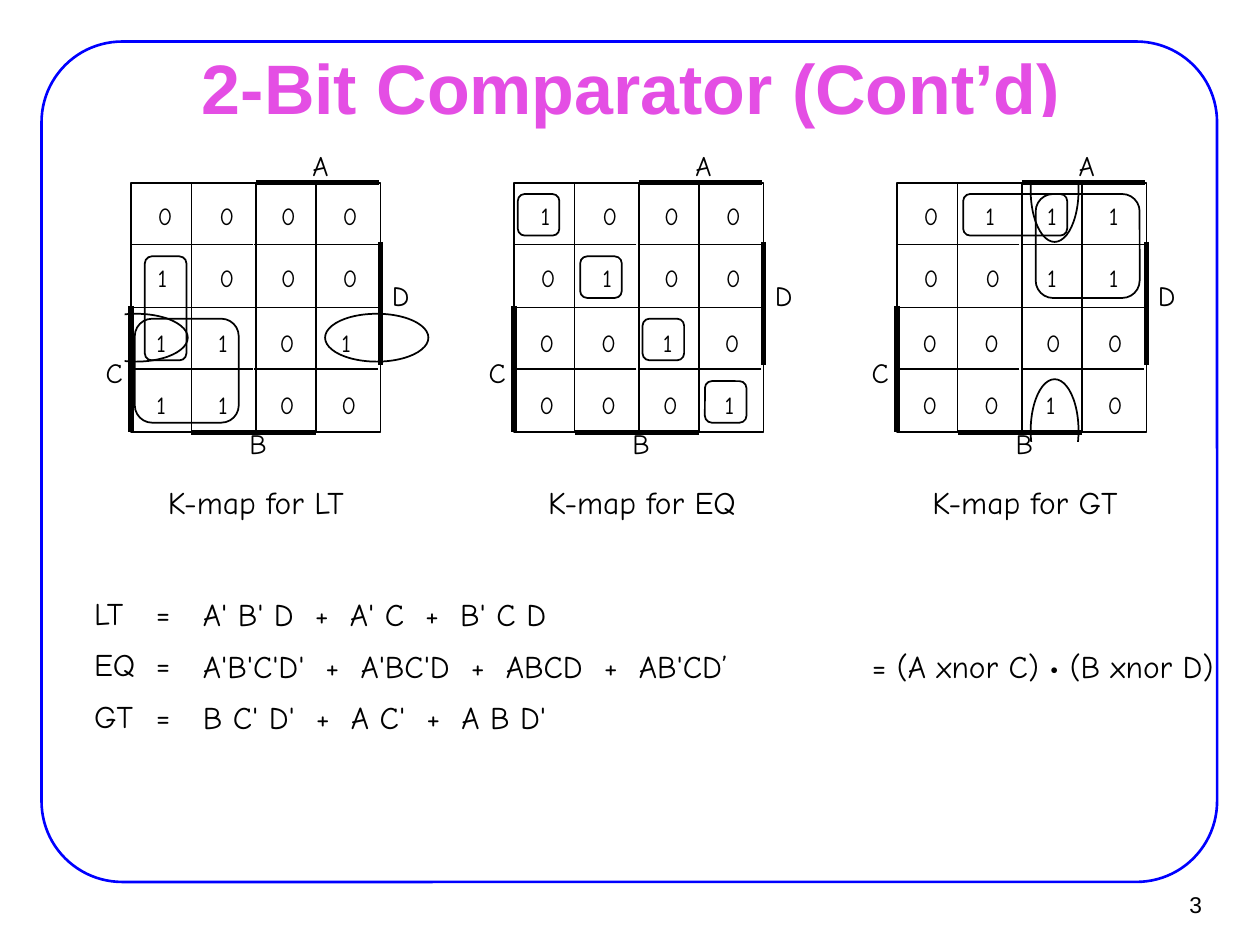
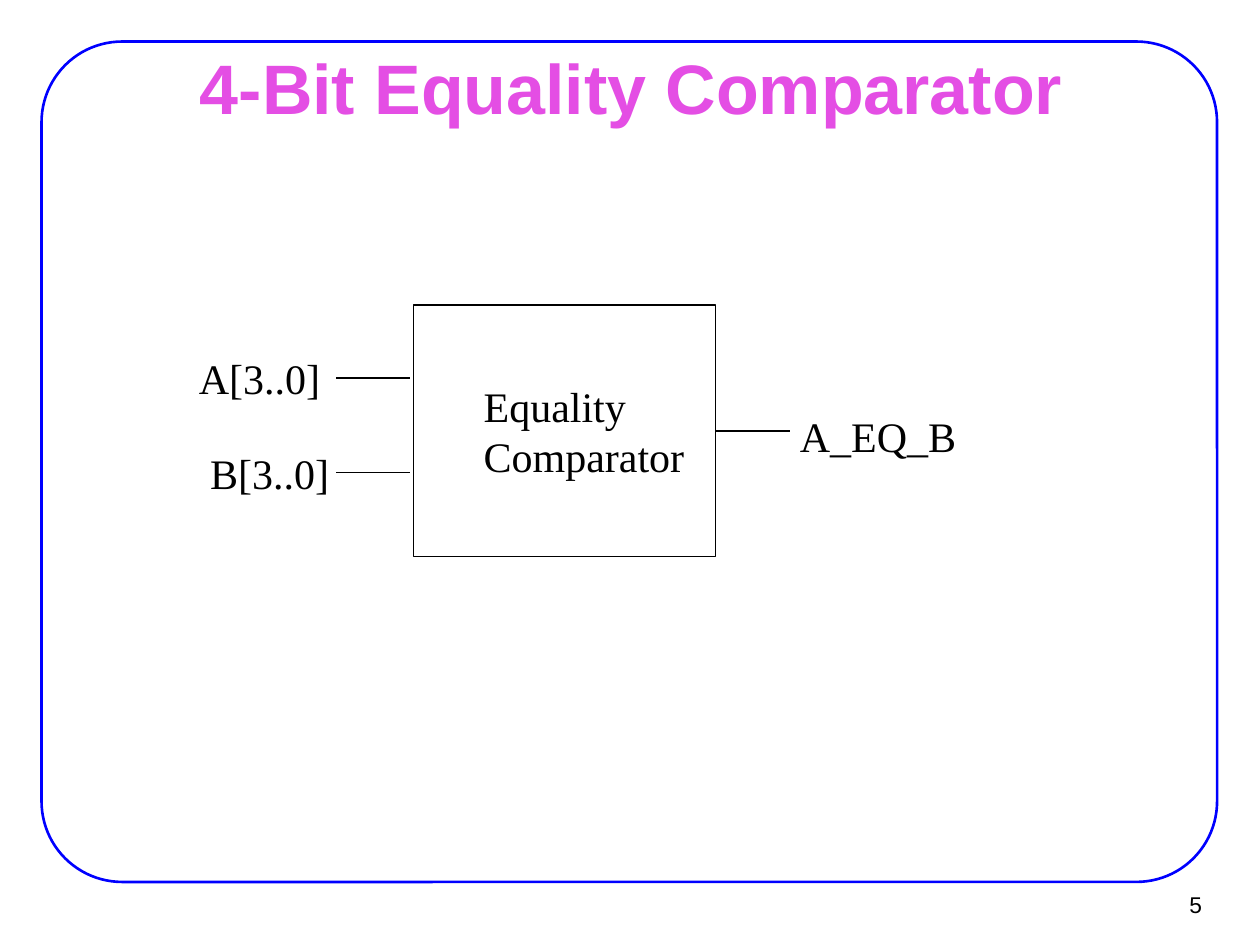
from dataclasses import dataclass

from lxml import etree
from pptx import Presentation
from pptx.dml.color import RGBColor
from pptx.enum.shapes import MSO_CONNECTOR, MSO_SHAPE
from pptx.enum.text import MSO_ANCHOR, MSO_AUTO_SIZE, PP_ALIGN
from pptx.oxml.ns import qn
from pptx.util import Inches, Pt

LEFT, CENTER, RIGHT = PP_ALIGN.LEFT, PP_ALIGN.CENTER, PP_ALIGN.RIGHT
TOP, MIDDLE = MSO_ANCHOR.TOP, MSO_ANCHOR.MIDDLE
FIXED, GROW = MSO_AUTO_SIZE.NONE, MSO_AUTO_SIZE.SHAPE_TO_FIT_TEXT
RECTANGLE, ELLIPSE = MSO_SHAPE.RECTANGLE, MSO_SHAPE.OVAL
ROUNDED = MSO_SHAPE.ROUNDED_RECTANGLE
STRAIGHT = MSO_CONNECTOR.STRAIGHT
TITLE_ONLY = 5


@dataclass(frozen=True)
class Theme:
    columns: float = 10
    rows: float = 7.5
    ink: str = "000000"
    paper: str = "FFFFFF"
    title: str = "E44EE4"
    frame: str = "0000FF"
    title_font: str = "Arial"
    hand_font: str = "Comic Neue"
    diagram_font: str = "Times New Roman"
    title_size: float = 40
    diagram_size: float = 24
    formula_size: float = 18
    label_size: float = 16
    digit_size: float = 14
    number_size: float = 13
    thin: float = 0.75
    normal: float = 1
    frame_line: float = 1.5
    thick: float = 3
    tab: float = 0.49


THEME = Theme()
TIGHT = (0.02, 0.03)
FORMULA = dict(font=THEME.hand_font, size=THEME.formula_size, spacing=29.6, inset=TIGHT)
CAPTION = dict(FORMULA, spacing=21.8, after=19.8, align=CENTER)
DIGITS = dict(font=THEME.hand_font, size=THEME.digit_size, spacing=17.8, gap=17.8,
              inset=TIGHT, tab=THEME.tab)
LABEL = dict(font=THEME.hand_font, size=THEME.label_size, spacing=15.8, inset=TIGHT)
SIDE_LABEL = dict(font=THEME.hand_font, size=THEME.label_size, fit=GROW)
DIAGRAM = dict(font=THEME.diagram_font, size=THEME.diagram_size, fit=GROW)


def write(text_frame, text, font, size, color=THEME.ink, bold=False, align=LEFT,
          anchor=TOP, spacing=None, gap=None, after=None, tab=None,
          inset=(0.1, 0.05), wrap=False, fit=FIXED):
    """Fill a text frame, one paragraph for each line of the text."""
    text_frame.word_wrap, text_frame.auto_size = wrap, fit
    text_frame.vertical_anchor = anchor
    text_frame.margin_left = text_frame.margin_right = Inches(inset[0])
    text_frame.margin_top = text_frame.margin_bottom = Inches(inset[1])
    for index, line in enumerate(text.split("\n")):
        paragraph = text_frame.add_paragraph() if index else text_frame.paragraphs[0]
        paragraph.alignment = align
        if spacing:
            paragraph.line_spacing = Pt(spacing)
        if gap and index:
            paragraph.space_before = Pt(gap)
        if after:
            paragraph.space_after = Pt(after)
        if tab:
            stops = etree.SubElement(paragraph._p.get_or_add_pPr(), qn("a:tabLst"))
            etree.SubElement(stops, qn("a:tab"), pos=str(Inches(tab)), algn="l")
        run = paragraph.add_run()
        run.text = line
        run.font.name, run.font.size, run.font.bold = font, Pt(size), bold
        run.font.color.rgb = RGBColor.from_string(color)


class Deck:
    """Holds the style and the current slide; lengths are grid columns and rows."""

    def __init__(self, theme):
        self.theme = theme
        self.presentation = Presentation()
        self.presentation.slide_width = Inches(10)
        self.presentation.slide_height = Inches(7.5)
        self.layout = self.presentation.slide_layouts[TITLE_ONLY]
        self.slide = None
        self.framed = False

    def across(self, columns):
        return round(self.presentation.slide_width * columns / self.theme.columns)

    def down(self, rows):
        return round(self.presentation.slide_height * rows / self.theme.rows)

    def box(self, left, top, width, height):
        return self.across(left), self.down(top), self.across(width), self.down(height)

    def add_slide(self, title, number):
        theme = self.theme
        self.slide = self.presentation.slides.add_slide(self.layout)
        if not self.framed:
            self.add_frame()
        shape = self.slide.shapes.title
        shape.left, shape.top, shape.width, shape.height = self.box(0.76, 0.44, 8.5, 0.49)
        write(shape.text_frame, title, font=theme.title_font, size=theme.title_size,
              color=theme.title, bold=True, align=CENTER, anchor=MIDDLE,
              inset=(0.11, 0.06), wrap=True)
        self.text(number, 9.02, 6.99, 0.61, 0.37, font=theme.title_font,
                  size=theme.number_size, align=RIGHT, anchor=MIDDLE, inset=(0.09, 0.04))

    def add_frame(self):
        """Draw the frame and move it to the layout that all slides share."""
        frame = self.shape(ROUNDED, 0.33, 0.33, 9.33, 6.67, line=self.theme.frame,
                           weight=self.theme.frame_line, corner=0.096)
        frame.element.nvSpPr.cNvPr.set("id", "20")
        self.layout.shapes.element.append(frame.element)
        self.framed = True

    def text(self, text, left, top, width, height, **text_format):
        shape = self.slide.shapes.add_textbox(*self.box(left, top, width, height))
        write(shape.text_frame, text, **text_format)

    def shape(self, kind, left, top, width, height, fill=None, line=THEME.ink,
              weight=THEME.normal, corner=None):
        shape = self.slide.shapes.add_shape(kind, *self.box(left, top, width, height))
        shape.shadow.inherit = False
        if fill:
            shape.fill.solid()
            shape.fill.fore_color.rgb = RGBColor.from_string(fill)
        else:
            shape.fill.background()
        if line:
            shape.line.color.rgb = RGBColor.from_string(line)
            shape.line.width = Pt(weight)
        else:
            shape.line.fill.background()
        if corner:
            shape.adjustments[0] = corner
        return shape

    def line(self, x1, y1, x2, y2, weight=THEME.normal):
        connector = self.slide.shapes.add_connector(
            STRAIGHT, self.across(x1), self.down(y1), self.across(x2), self.down(y2))
        connector.line.color.rgb = RGBColor.from_string(self.theme.ink)
        connector.line.width = Pt(weight)
        etree.SubElement(connector.element.spPr, qn("a:effectLst"))


class KarnaughMap:
    """A 4 by 4 map made of four quadrants, placed by its top left corner."""
    CELL, QUADRANT, SIDE = 0.495, 0.99, 1.98
    BARS = ((0.99, 0, 1.97, 0), (1.98, 0.47, 1.98, 1.45),
            (0.48, 1.98, 1.47, 1.98), (0, 0.98, 0, 1.98))
    LABELS = (("A", 1.42, -0.25), ("D", 2.05, 0.78), ("B", 0.92, 1.95))

    def __init__(self, deck, left, top):
        self.deck, self.left, self.top = deck, left, top

    def wrap_group(self, ellipses, masks):
        """Open loops: ellipses whose outer parts are masked."""
        for x, y, width, height in ellipses:
            self.deck.shape(ELLIPSE, self.left + x, self.top + y, width, height)
        for x, y, width, height in masks:
            self.deck.shape(RECTANGLE, self.left + x, self.top + y, width, height,
                            fill=THEME.paper, line=None)

    def loop(self, column, row, columns=1, rows=1, nudge=0):
        self.deck.shape(ROUNDED, self.left + 0.03 + nudge + column * self.CELL,
                        self.top + 0.09 + row * self.CELL,
                        0.33 + (columns - 1) * self.CELL,
                        0.33 + (rows - 1) * self.CELL, corner=0.167)

    def quadrant(self, column, row, digits):
        x, y = self.left + column * self.QUADRANT, self.top + row * self.QUADRANT
        self.deck.text(digits, x + 0.19 - 0.01 * (row + column), y + 0.1 + 0.02 * row,
                       0.89, 0.88, **DIGITS)
        self.deck.shape(RECTANGLE, x, y, self.QUADRANT, self.QUADRANT)
        self.deck.line(x + 0.48, y, x + 0.48, y + self.QUADRANT)
        self.deck.line(x + 0.97, y + 0.49, x - 0.01, y + 0.49)

    def draw(self, rows):
        for row in (0, 1):
            for column in (0, 1):
                pairs = [line[2 * column:2 * column + 2] for line in rows[2 * row:2 * row + 2]]
                self.quadrant(column, row, "\n".join("\t".join(pair) for pair in pairs))
        for x1, y1, x2, y2 in self.BARS:
            self.deck.line(self.left + x1, self.top + y1, self.left + x2, self.top + y2,
                           weight=THEME.thick)
        for name, x, y in self.LABELS:
            self.deck.text(name, self.left + x, self.top + y, 0.63, 0.36, **LABEL)
        self.deck.text("C", self.left - 0.3, self.top + 1.32, 0.33, 0.36, **SIDE_LABEL)

    def caption(self, text, width):
        self.deck.text(text, self.left + 0.03, self.top + 2.35, width, 0.71, **CAPTION)


deck = Deck(THEME)

# Slide 1: three maps, each with digits, loops (column, row, columns, rows, nudge)
# and groups that wrap around the edge (ellipses, masks)
deck.add_slide("2-Bit Comparator (Cont’d)", "3")
MAPS = (
    ("LT", 1.92, ("0000", "1000", "1101", "1100"),
     ((0, 2, 2, 2), (0, 1, 1, 2, 0.08)),
     ((1.54, 1.04, 0.82, 0.38), (-0.37, 1.04, 0.82, 0.38)),
     ((-0.55, 1, 0.5, 0.45),)),
    ("EQ", 1.97, ("1000", "0100", "0010", "0001"),
     tuple((index, index) for index in range(4)), (), ()),
    ("GT", 1.97, ("0111", "0011", "0000", "0010"),
     ((2, 0, 2, 2, 0.08), (1, 0, 2, 1)),
     ((1.06, -0.35, 0.38, 0.82), (1.06, 1.56, 0.38, 0.82)),
     ((1.02, -0.52, 0.45, 0.5), (1.02, 2.06, 0.45, 0.5))),
)
for index, (name, width, digits, loops, ellipses, masks) in enumerate(MAPS):
    karnaugh_map = KarnaughMap(deck, 1.04 + 3.04 * index, 1.45)
    karnaugh_map.wrap_group(ellipses, masks)
    karnaugh_map.draw(digits)
    for loop in loops:
        karnaugh_map.loop(*loop)
    karnaugh_map.caption(f"K-map for {name}", width)

# Formulas below the maps
deck.text("LT\t=\nEQ\t=\nGT\t=", 0.57, 4.57, 0.96, 1.37,
          **dict(FORMULA, align=CENTER, tab=THEME.tab))
FORMULAS = (("A' B' D  +  A' C  +  B' C D", 6.36, 0.58),
            ("A'B'C'D'  +  A'BC'D  +  ABCD  +  AB'CD’", 5.32, 0.49),
            ("B C' D'  +  A C'  +  A B D'", 6.36, 0.58))
for index, (formula, width, height) in enumerate(FORMULAS):
    deck.text(formula, 1.59, 4.58 + 0.41 * index, width, height, **FORMULA)
deck.text("= (A xnor C) • (B xnor D)", 6.9, 4.99, 2.85, 0.49, **FORMULA)

# Slide 2: block diagram
deck.add_slide("4-Bit Equality Comparator", "5")
deck.text("Equality\nComparator", 3.74, 2.97, 1.81, 0.91, **DIAGRAM)
deck.shape(RECTANGLE, 3.28, 2.42, 2.4, 2, weight=THEME.thin)
for x1, x2, y in ((2.67, 3.25, 3), (2.67, 3.25, 3.75), (5.68, 6.27, 3.42)):
    deck.line(x1, y, x2, y, weight=THEME.thin)
for signal, left, top, width in (("A[3..0]", 1.48, 2.75, 1.16), ("B[3..0]", 1.57, 3.5, 1.15),
                                 ("A_EQ_B", 6.25, 3.21, 1.44)):
    deck.text(signal, left, top, width, 0.5, **DIAGRAM)

deck.presentation.save("out.pptx")
